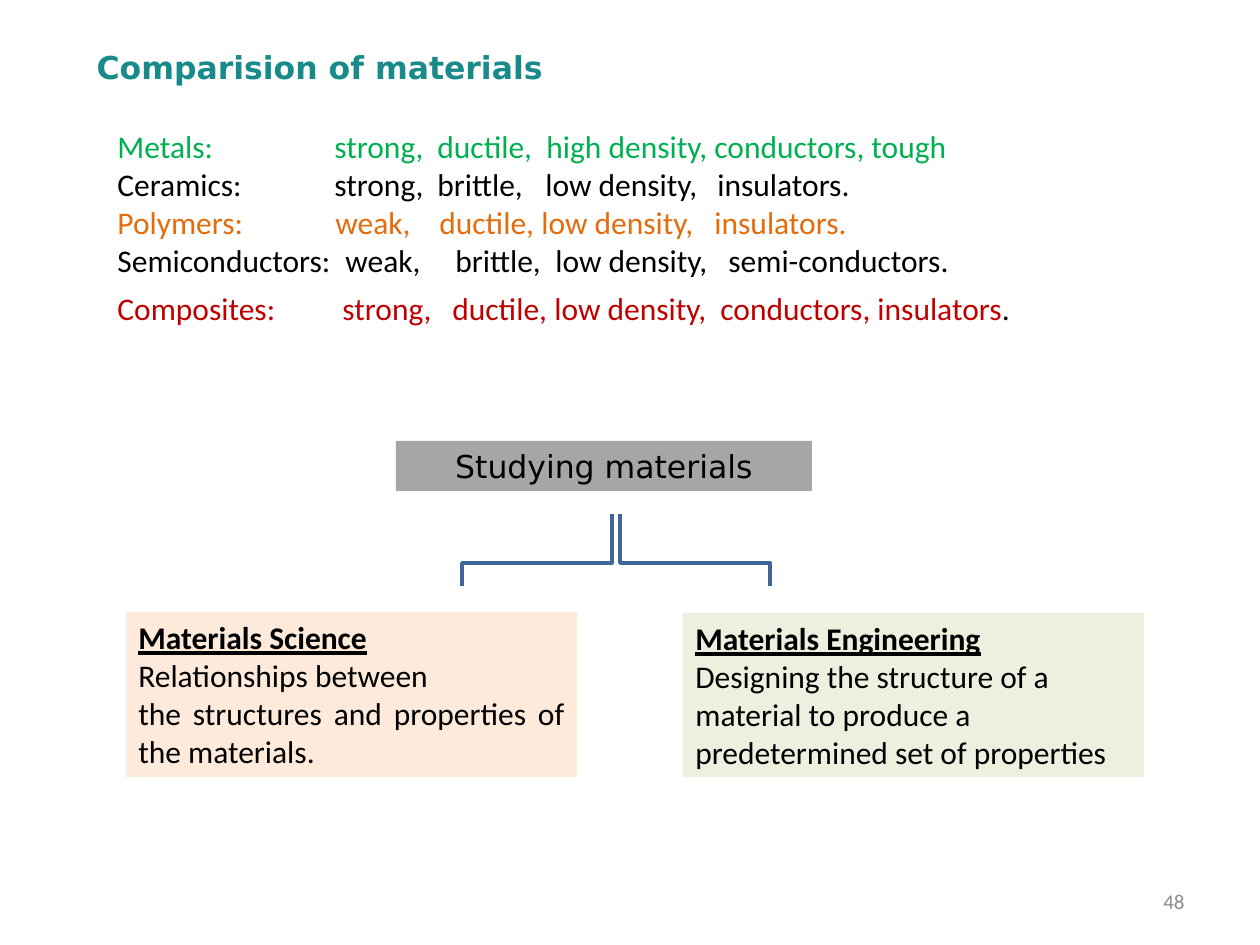
"""Build the slide comparing material classes and the two ways of studying them."""
from lxml.etree import SubElement
from pptx import Presentation
from pptx.dml.color import RGBColor
from pptx.enum.shapes import MSO_SHAPE as Shape
from pptx.enum.text import MSO_ANCHOR as Anchor, MSO_AUTO_SIZE as AutoSize, PP_ALIGN as Align
from pptx.oxml.ns import qn
from pptx.util import Emu, Pt

SCALE = 914400 / 126
COLORS = {
    "teal": "198A8A", "green": "00B050", "black": "000000", "orange": "E46C0A",
    "red": "C00000", "gray": "A6A6A6", "peach": "FDEADA", "lime": "EBF1DE",
    "number": "8C8C8C", "line": "3F6797",
}


def px(length):
    """Turn pixels into EMU."""
    return Emu(round(length * SCALE))


def write(para, text, font="Calibri", size=18, color="black", bold=False,
          underline=False, align=Align.LEFT, before=0):
    """Add a formatted run to a paragraph."""
    para.alignment = align
    para.space_before = Pt(before)
    span = para.add_run()
    span.text = text
    span.font.name = font
    span.font.size = Pt(size)
    span.font.bold = bold
    span.font.underline = underline
    span.font.color.rgb = RGBColor.from_string(COLORS[color])


deck = Presentation()
deck.slide_width, deck.slide_height = px(1260), px(945)
page = deck.slides.add_slide(deck.slide_layouts[5])

title = page.shapes.title
title.left, title.top, title.width, title.height = px(84), px(42), px(474), px(50)
title.text_frame.word_wrap = False
title.text_frame.auto_size = AutoSize.NONE
write(title.text_frame.paragraphs[0], "Comparision of materials",
      font="DejaVu Sans", color="teal", bold=True)

materials = [
    ("green", ["Metals:", "strong,", "ductile,", "high density,", "conductors, tough"],
     [217, 320, 429, 597]),
    ("black", ["Ceramics:", "strong,", "brittle,", "low density,", "insulators."],
     [217, 320, 428, 600]),
    ("orange", ["Polymers:", "weak,", "ductile,", "low density,", "insulators."],
     [218, 322, 424, 597]),
    ("black", ["Semiconductors:", "weak,", "brittle,", "low density,", "semi-conductors."],
     [228, 338, 438, 611]),
    ("red", ["Composites:", "strong,", "ductile,", "low density,", "conductors, insulators"],
     [225, 335, 437, 603]),
]
comparison = page.shapes.add_textbox(px(105), px(121), px(1155), px(202))
frame = comparison.text_frame
frame.word_wrap = True
for index, (color, words, stops) in enumerate(materials):
    para = frame.add_paragraph() if index else frame.paragraphs[0]
    last = index == len(materials) - 1
    before = 6 if last else 0
    write(para, "\t".join(words), color=color, before=before)
    if last:
        write(para, ".", before=before)
    tabs = SubElement(para._p.get_or_add_pPr(), qn("a:tabLst"))
    for stop in stops:
        SubElement(tabs, qn("a:tab"), pos=str(px(stop)), algn="l")

heading = {"bold": True, "underline": True}
justified = {"align": Align.JUSTIFY}
boxes = [
    ((396, 441, 416, 50), "gray", Anchor.MIDDLE,
     [("Studying materials", {"font": "DejaVu Sans", "align": Align.CENTER})]),
    ((126, 612, 451, 165), "peach", Anchor.TOP,
     [("Materials Science", heading | justified),
      ("Relationships between", justified),
      ("the structures and properties of the materials.", justified)]),
    ((683, 613, 461, 164), "lime", Anchor.TOP,
     [("Materials Engineering", heading),
      ("Designing the structure of a", {}),
      ("material to produce a", {}),
      ("predetermined set of properties", {})]),
]
for place, fill, anchor, lines in boxes:
    box = page.shapes.add_shape(Shape.RECTANGLE, *map(px, place))
    box.shadow.inherit = False
    box.fill.solid()
    box.fill.fore_color.rgb = RGBColor.from_string(COLORS[fill])
    box.line.fill.background()
    frame = box.text_frame
    frame.word_wrap = True
    frame.vertical_anchor = anchor
    for index, (text, style) in enumerate(lines):
        para = frame.add_paragraph() if index else frame.paragraphs[0]
        write(para, text, **style)

for stem, end in ((612, 462), (620, 770)):
    builder = page.shapes.build_freeform(stem, 514, scale=SCALE)
    builder.add_line_segments([(stem, 563), (end, 563), (end, 586)], close=False)
    branch = builder.convert_to_shape()
    branch.shadow.inherit = False
    branch.fill.background()
    branch.line.color.rgb = RGBColor.from_string(COLORS["line"])
    branch.line.width = Pt(2)

number = page.shapes.add_textbox(px(903), px(876), px(294), px(50))
number.text_frame.word_wrap = True
number.text_frame.vertical_anchor = Anchor.MIDDLE
write(number.text_frame.paragraphs[0], "48", size=12, color="number", align=Align.RIGHT)

deck.save("out.pptx")
